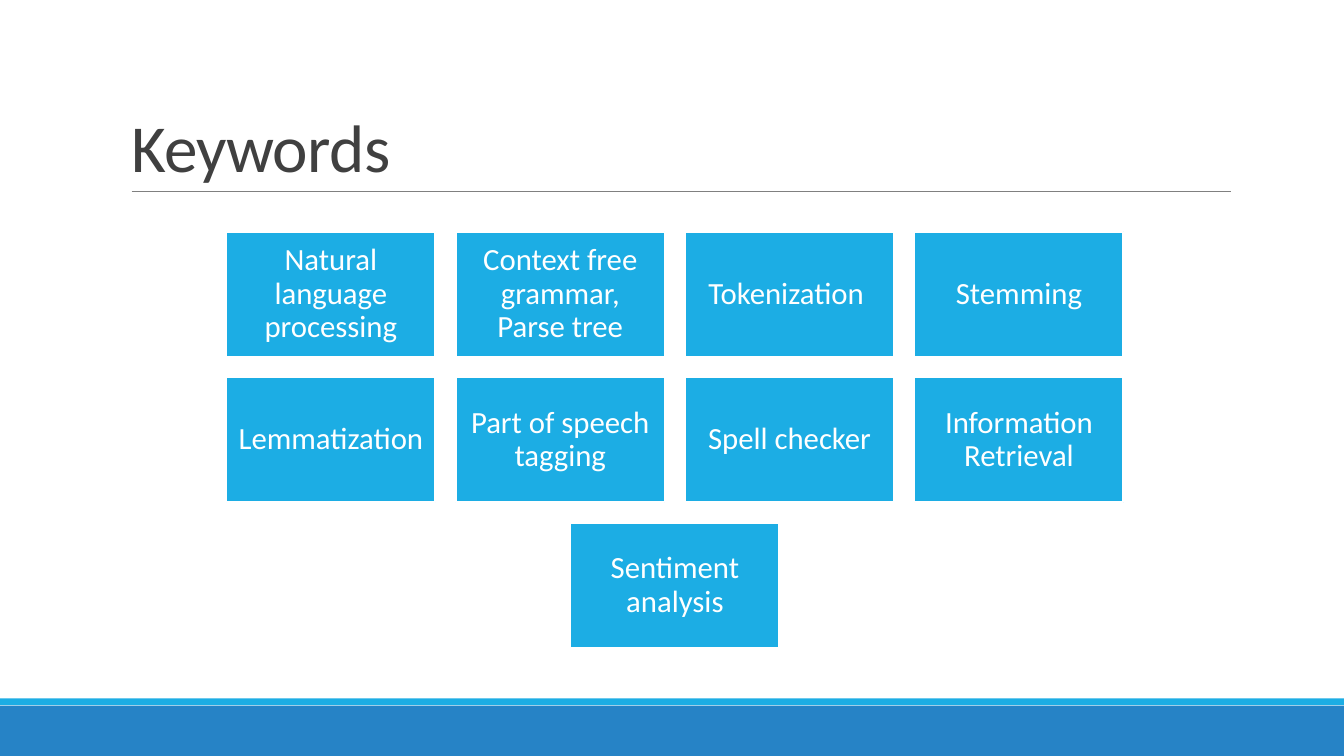
from dataclasses import dataclass

import pptx
import pptx.dml.color
import pptx.enum.shapes
import pptx.enum.text
import pptx.oxml
import pptx.oxml.ns
import pptx.util
from pptx.util import Cm, Pt

SLIDE_WIDTH, SLIDE_HEIGHT = 33.87, 19.05
SKY, BLUE, WHITE, CHARCOAL, GREY = "1CADE4", "2683C6", "FFFFFF", "404040", "808080"

# Keyword grid, in centimetres; every row is centred on GRID_CENTRE
KEYWORD_ROWS = [
    ["Natural language processing", "Context free grammar, Parse tree", "Tokenization ", "Stemming"],
    ["Lemmatization", "Part of speech tagging", "Spell checker", "Information Retrieval"],
    ["Sentiment analysis"],
]
BOX_WIDTH, BOX_HEIGHT = 5.26, 3.15
COLUMN_STEP, ROW_STEP = 5.78, 3.67
GRID_CENTRE, GRID_TOP = 17.01, 5.84


@dataclass
class Block:
    left: float
    top: float
    width: float
    height: float
    fill: str
    text: str = ""
    outline: str = ""


def colour(code: str) -> pptx.dml.color.RGBColor:
    return pptx.dml.color.RGBColor.from_string(code)


def apply(target, values: dict) -> None:
    for name, value in values.items():
        setattr(target, name, value)


def write_text(shape, text: str, frame_format: dict, para_format: dict, size: float, code: str):
    """Fill a shape with one formatted paragraph and return its run."""
    frame = shape.text_frame
    apply(frame, {"word_wrap": True, "auto_size": pptx.enum.text.MSO_AUTO_SIZE.NONE, **frame_format})
    para = frame.paragraphs[0]
    apply(para, para_format)
    span = para.add_run()
    span.text = text
    apply(span.font, {"name": "Calibri", "size": Pt(size)})
    span.font.color.rgb = colour(code)
    return span


def draw_block(page, block: Block) -> None:
    box = page.shapes.add_shape(
        pptx.enum.shapes.MSO_SHAPE.RECTANGLE,
        Cm(block.left), Cm(block.top), Cm(block.width), Cm(block.height))
    box.shadow.inherit = False
    box.fill.solid()
    box.fill.fore_color.rgb = colour(block.fill)
    if block.outline:
        box.line.color.rgb = colour(block.outline)
        box.line.width = Pt(1.25)
    else:
        box.line.fill.background()
    if block.text:
        margins = {f"margin_{side}": Cm(0.23) for side in ("left", "top", "right", "bottom")}
        write_text(box, block.text,
                   {"vertical_anchor": pptx.enum.text.MSO_ANCHOR.MIDDLE, **margins},
                   {"alignment": pptx.enum.text.PP_ALIGN.CENTER, "line_spacing": 0.9},
                   22, WHITE)


def draw_title(page, text: str) -> None:
    title = page.shapes.title
    apply(title, {"left": Cm(3.05), "top": Cm(0.79), "width": Cm(27.94), "height": Cm(4.04)})
    span = write_text(title, text,
                      {"vertical_anchor": pptx.enum.text.MSO_ANCHOR.BOTTOM},
                      {"alignment": pptx.enum.text.PP_ALIGN.LEFT, "line_spacing": 0.85},
                      48, CHARCOAL)
    span.font._element.set("spc", "-50")


def draw_rule(page, left: float, right: float, top: float) -> None:
    rule = page.shapes.add_connector(
        pptx.enum.shapes.MSO_CONNECTOR.STRAIGHT, Cm(left), Cm(top), Cm(right), Cm(top))
    rule.line.color.rgb = colour(GREY)
    rule.line.width = Pt(0.5)
    rule._element.spPr.append(pptx.oxml.parse_xml(
        f"<a:effectLst {pptx.oxml.ns.nsdecls('a')}/>"))


def keyword_blocks() -> list[Block]:
    blocks = []
    for row, keywords in enumerate(KEYWORD_ROWS):
        row_width = (len(keywords) - 1) * COLUMN_STEP + BOX_WIDTH
        row_left = GRID_CENTRE - row_width / 2
        for column, keyword in enumerate(keywords):
            blocks.append(Block(row_left + column * COLUMN_STEP, GRID_TOP + row * ROW_STEP,
                                BOX_WIDTH, BOX_HEIGHT, SKY, keyword, WHITE))
    return blocks


def main() -> None:
    deck = pptx.Presentation()
    apply(deck, {"slide_width": Cm(SLIDE_WIDTH), "slide_height": Cm(SLIDE_HEIGHT)})
    page = deck.slides.add_slide(deck.slide_layouts.get_by_name("Title Only"))

    # Footer bands
    draw_block(page, Block(0, 17.78, SLIDE_WIDTH, 1.27, BLUE))
    draw_block(page, Block(0, 17.6, SLIDE_WIDTH, 0.17, SKY))

    # Title and the rule below it
    draw_rule(page, 3.32, 31.01, 4.83)
    draw_title(page, "Keywords")

    # Keywords
    for block in keyword_blocks():
        draw_block(page, block)

    deck.save("out.pptx")


if __name__ == "__main__":
    main()
